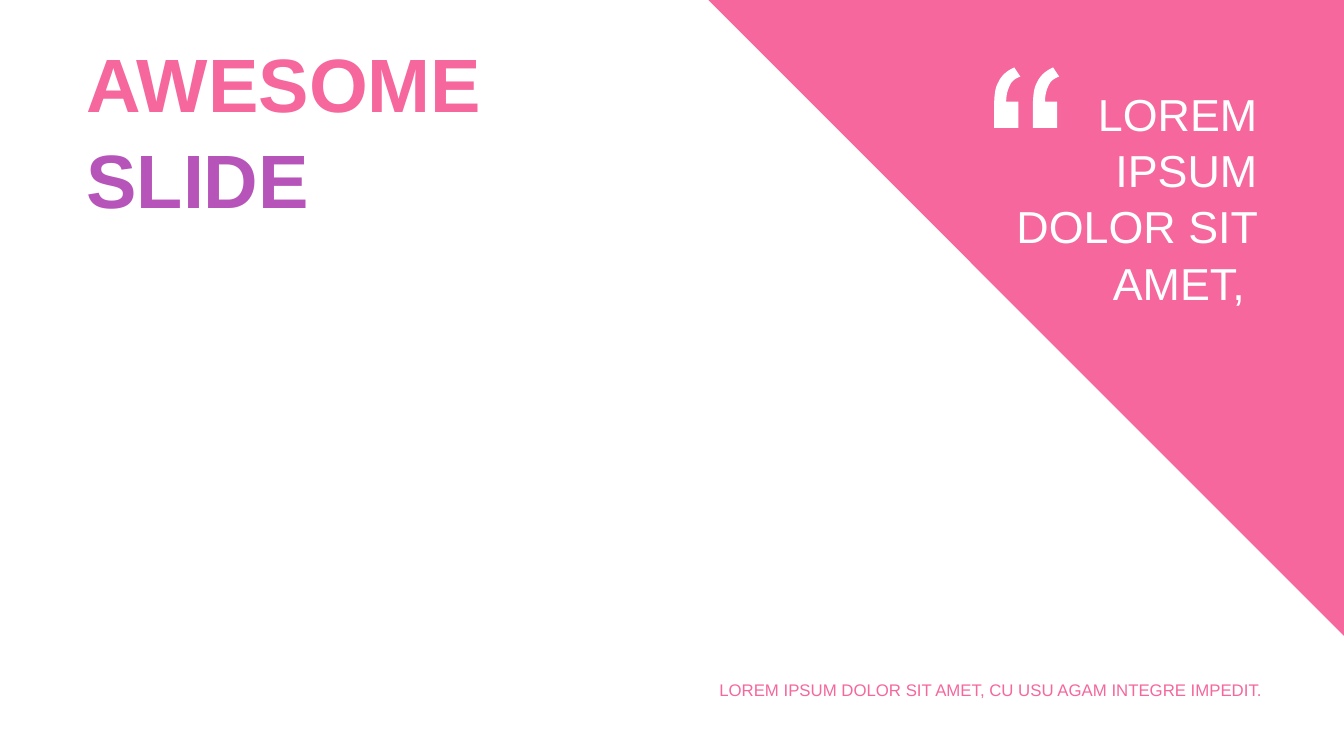
from pptx import Presentation
from pptx.dml.color import RGBColor
from pptx.enum.shapes import MSO_SHAPE
from pptx.enum.text import MSO_ANCHOR, PP_ALIGN
from pptx.util import Inches, Pt

PINK = RGBColor(0xF5, 0x67, 0x9D)
PLUM = RGBColor(0xB7, 0x54, 0xBA)
WHITE = RGBColor(0xFF, 0xFF, 0xFF)

WIDE, HIGH = Inches(13.33), Inches(7.5)
COL, ROW = WIDE / 100, HIGH / 100  # grid of 100 columns by 100 rows
STEPS = 12

# One quote mark in inches: a pair is a corner, three pairs are a curve.
START = (0.2, 0)
MARK = [
    (0.26, 0.09),
    ((0.21, 0.11), (0.18, 0.13), (0.16, 0.17)),
    ((0.14, 0.21), (0.12, 0.26), (0.12, 0.34)),
    (0.24, 0.34), (0.24, 0.6), (0, 0.6), (0, 0.39),
    ((0, 0.28), (0.01, 0.2), (0.04, 0.15)),
    ((0.07, 0.08), (0.13, 0.03), START),
]
MARK_GAP = 0.385


def place(left, top, width, height):
    """Turn columns and rows into slide lengths."""
    return [int(n) for n in (left * COL, top * ROW, width * COL, height * ROW)]


def paint(shape, color):
    shape.shadow.inherit = False
    shape.fill.solid()
    shape.fill.fore_color.rgb = color
    shape.line.fill.background()


def add_text(slide, area, lines, size, align=PP_ALIGN.LEFT, bold=False):
    """Add a middle-anchored box; lines holds (text, color) pairs."""
    frame = slide.shapes.add_textbox(*place(*area)).text_frame
    frame.word_wrap = True
    frame.vertical_anchor = MSO_ANCHOR.MIDDLE
    for i, (text, color) in enumerate(lines):
        para = frame.add_paragraph() if i else frame.paragraphs[0]
        para.text = text
        para.alignment = align
        para.line_spacing = 1.05
        font = para.font
        font.name, font.size, font.bold = "Arial", Pt(size), bold
        font.color.rgb = color


def add_corner(slide, width, height, color):
    """Fill the top right corner with a right triangle."""
    area = place(100 - width, 0, width, height)
    shape = slide.shapes.add_shape(MSO_SHAPE.RIGHT_TRIANGLE, *area)
    shape.rotation = 180
    paint(shape, color)


def curve(a, b, c, d):
    """List points along a cubic curve, without its start."""
    points = []
    for i in range(1, STEPS + 1):
        t = i / STEPS
        u = 1 - t
        parts = (u ** 3, 3 * u * u * t, 3 * u * t * t, t ** 3)
        points.append(tuple(
            sum(k * p[axis] for k, p in zip(parts, (a, b, c, d)))
            for axis in (0, 1)))
    return points


def outline():
    points = [START]
    for step in MARK:
        if isinstance(step[0], tuple):
            points += curve(points[-1], *step)
        else:
            points.append(step)
    return points


def add_marks(slide, left, top, color):
    """Draw the opening double quote as one shape."""
    x, y = left * COL, top * ROW
    build = None
    for shift in (0, MARK_GAP):
        points = [(int(x + Inches(px + shift)), int(y + Inches(py)))
                  for px, py in outline()]
        if build is None:
            build = slide.shapes.build_freeform(*points[0])
        else:
            build.move_to(*points[0])
        build.add_line_segments(points[1:], close=True)
    paint(build.convert_to_shape(), color)


def main():
    deck = Presentation()
    deck.slide_width, deck.slide_height = WIDE, HIGH
    slide = deck.slides.add_slide(deck.slide_layouts[6])

    add_corner(slide, 47.3, 84.1, PINK)
    add_text(slide, (5.7, 4.13, 32.9, 25.6),
             [("AWESOME", PINK), ("SLIDE", PLUM)], 54, bold=True)
    add_text(slide, (70.3, 10.93, 24, 30.13),
             [("LOREM IPSUM", WHITE), ("DOLOR SIT AMET, ", WHITE)],
             32, PP_ALIGN.RIGHT)
    add_marks(slide, 73.97, 8.93, WHITE)
    foot = "LOREM IPSUM DOLOR SIT AMET, CU USU AGAM INTEGRE IMPEDIT."
    add_text(slide, (38.63, 89.2, 56.04, 4), [(foot, PINK)],
             12, PP_ALIGN.RIGHT)
    deck.save("out.pptx")


if __name__ == "__main__":
    main()
